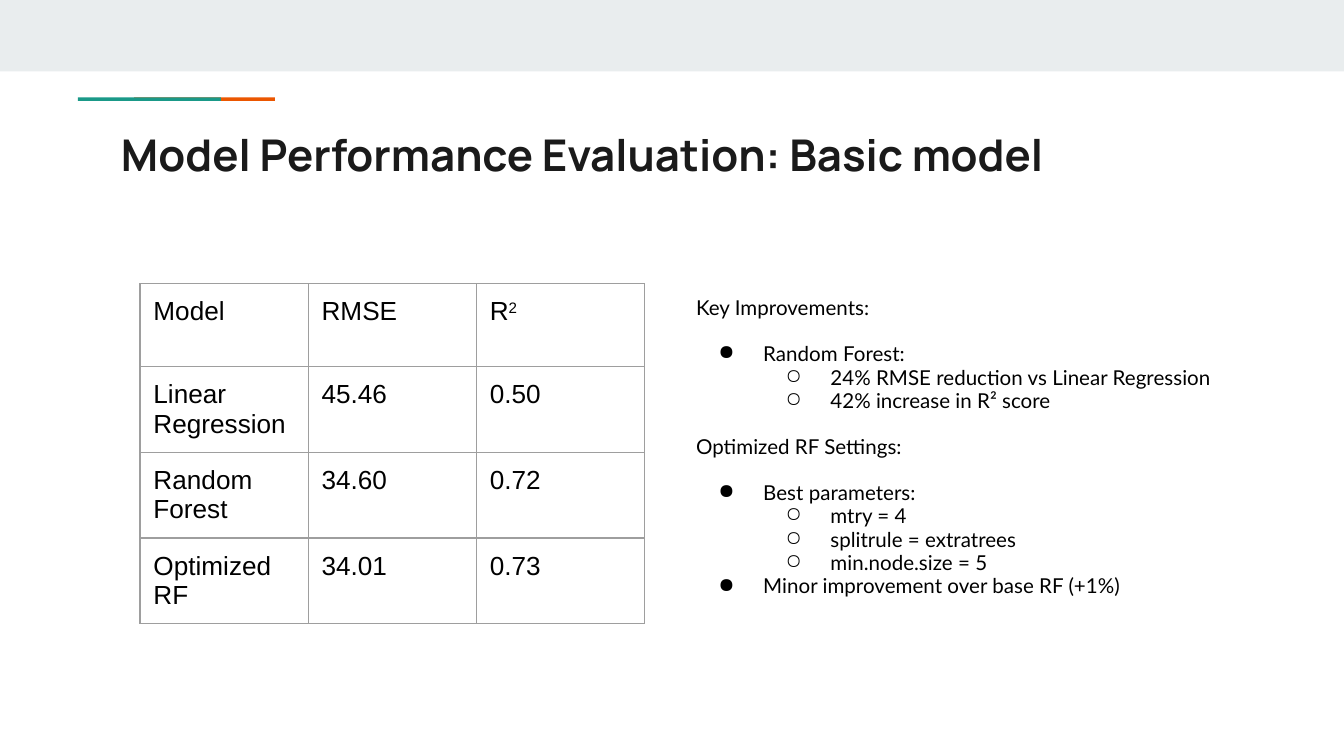
"""Build the model performance slide with its score table and key findings."""
import pptx
import pptx.dml.color
import pptx.enum.shapes
import pptx.enum.text
import pptx.oxml.ns
import pptx.util
from lxml import etree

Pt = pptx.util.Pt
qn = pptx.oxml.ns.qn

TITLE = "Model Performance Evaluation: Basic model"
SCORES = [
    ("Model", "RMSE", "R^2"),
    ("Linear Regression", "45.46", "0.50"),
    ("Random Forest", "34.60", "0.72"),
    ("Optimized RF", "34.01", "0.73"),
]
NOTES = [
    (0, 0, "Key Improvements:"),
    (1, 12, "Random Forest:"),
    (2, 0, "24% RMSE reduction vs Linear Regression"),
    (2, 0, "42% increase in R² score"),
    (0, 12, "Optimized RF Settings:"),
    (1, 12, "Best parameters:"),
    (2, 0, "mtry = 4"),
    (2, 0, "splitrule = extratrees"),
    (2, 0, "min.node.size = 5"),
    (1, 0, "Minor improvement over base RF (+1%)"),
]
BULLETS = {1: "●", 2: "○"}
THEME = {
    "band": "E9EDEE", "orange": "EB5600", "green": "1A9988", "grid": "9E9E9E",
    "title": ("Manrope", 23.4, "1A1A1A", True),
    "cell": ("Arial", 14, "000000", False),
    "note": ("Lato", 11, "000000", False),
}
BARS = [
    ("band", 0, 0, 720, 38.25),
    ("orange", 71.8, 52.2, 75.5, 1.9),
    ("green", 41.8, 52.2, 76.6, 1.9),
]
INSET = 7.2
COL, ROW = 90.1, 44.5
STEP, HANG = 36, 24


def rgb(code):
    return pptx.dml.color.RGBColor.from_string(code)


def style(para, role):
    name, size, color, bold = THEME[role]
    font = para.font
    font.name, font.size, font.bold = name, Pt(size), bold
    font.color.rgb = rgb(color)


def frame_up(frame):
    frame.word_wrap = True
    frame.auto_size = pptx.enum.text.MSO_AUTO_SIZE.NONE
    frame.vertical_anchor = pptx.enum.text.MSO_ANCHOR.TOP
    frame.margin_left = frame.margin_right = Pt(INSET)
    frame.margin_top = frame.margin_bottom = Pt(INSET)


def add_bar(slide, role, *box):
    kind = pptx.enum.shapes.MSO_SHAPE.RECTANGLE
    bar = slide.shapes.add_shape(kind, *map(Pt, box))
    bar.shadow.inherit = False
    bar.fill.solid()
    bar.fill.fore_color.rgb = rgb(THEME[role])
    bar.line.fill.background()


def set_title(slide):
    title = slide.shapes.title
    title.left, title.top, title.width, title.height = map(Pt, (57.6, 61.2, 605.5, 42.5))
    frame_up(title.text_frame)
    title.text_frame.text = TITLE
    para = title.text_frame.paragraphs[0]
    para.alignment = pptx.enum.text.PP_ALIGN.LEFT
    style(para, "title")


def add_bullet(para, level):
    props = para._p.get_or_add_pPr()
    props.set("marL", str(Pt(STEP * level)))
    props.set("indent", str(-Pt(HANG)))
    tint = etree.SubElement(props, qn("a:buClr"))
    etree.SubElement(tint, qn("a:srgbClr"), val=THEME["note"][2])
    etree.SubElement(props, qn("a:buChar"), char=BULLETS[level])


def add_notes(slide):
    frame = slide.shapes.add_textbox(*map(Pt, (365.8, 152, 297.4, 177.8))).text_frame
    frame_up(frame)
    for i, (level, gap, text) in enumerate(NOTES):
        para = frame.add_paragraph() if i else frame.paragraphs[0]
        para.text = text
        para.line_spacing = 0.95
        para.space_before = Pt(gap)
        if level:
            add_bullet(para, level)
        style(para, "note")


def add_grid(cell):
    props = cell._tc.get_or_add_tcPr()
    for side in ("L", "R", "T", "B"):
        line = etree.SubElement(props, qn(f"a:ln{side}"), w=str(Pt(0.75)))
        fill = etree.SubElement(line, qn("a:solidFill"))
        etree.SubElement(fill, qn("a:srgbClr"), val=THEME["grid"])


def fill_cell(cell, text):
    add_grid(cell)
    cell.fill.background()
    cell.margin_left = cell.margin_right = Pt(INSET)
    cell.margin_top = cell.margin_bottom = Pt(INSET)
    base, _, power = text.partition("^")
    para = cell.text_frame.paragraphs[0]
    para.add_run().text = base
    if power:
        run = para.add_run()
        run.text = power
        run._r.get_or_add_rPr().set("baseline", "30000")
    style(para, "cell")


def add_scores(slide):
    rows, cols = len(SCORES), len(SCORES[0])
    box = map(Pt, (75, 152, COL * cols, ROW * rows))
    table = slide.shapes.add_table(rows, cols, *box).table
    table.first_row = table.horz_banding = False
    for col in table.columns:
        col.width = Pt(COL)
    for row, texts in zip(table.rows, SCORES):
        row.height = Pt(ROW)
        for cell, text in zip(row.cells, texts):
            fill_cell(cell, text)


def main():
    deck = pptx.Presentation()
    deck.slide_width, deck.slide_height = Pt(720), Pt(405)
    slide = deck.slides.add_slide(deck.slide_layouts[5])
    for bar in BARS:
        add_bar(slide, *bar)
    set_title(slide)
    add_notes(slide)
    add_scores(slide)
    deck.save("out.pptx")


if __name__ == "__main__":
    main()
